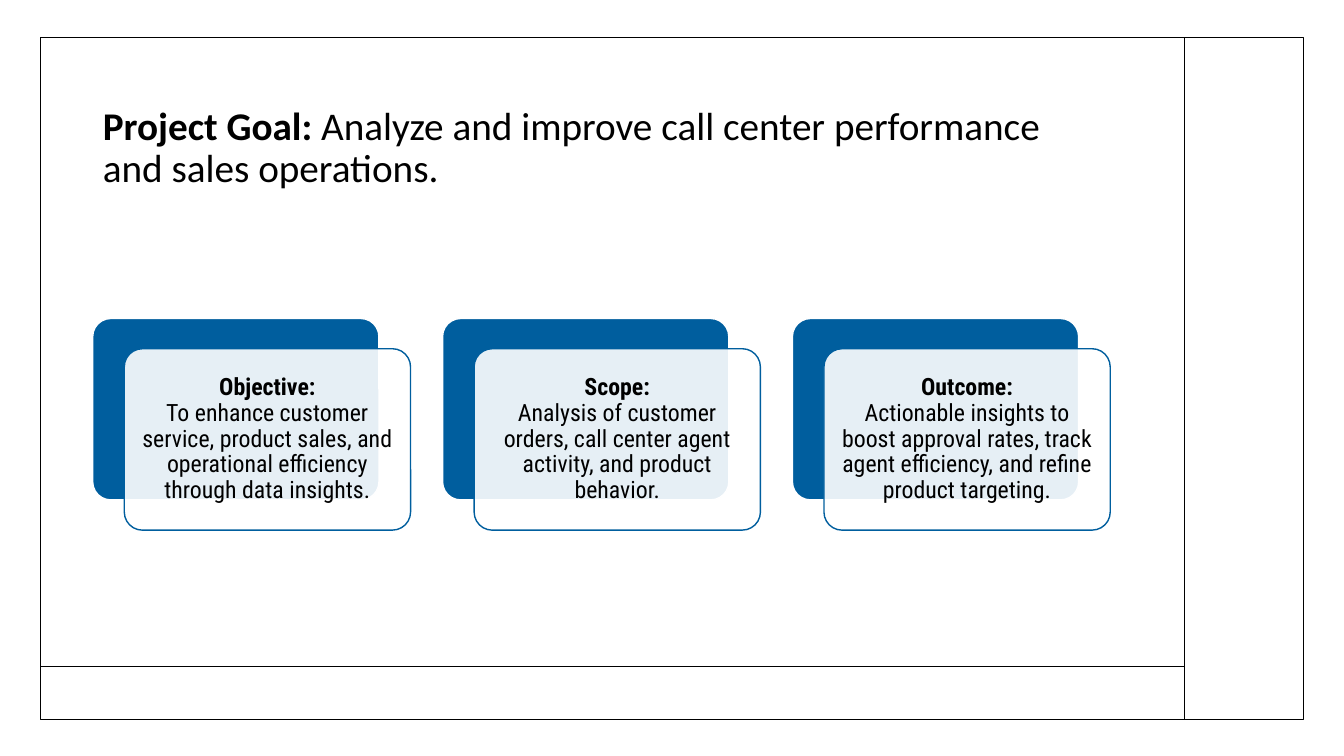
from dataclasses import dataclass

from lxml.etree import SubElement
from pptx import Presentation
from pptx.dml.color import RGBColor
from pptx.enum.shapes import MSO_CONNECTOR, MSO_SHAPE
from pptx.enum.text import MSO_ANCHOR, MSO_AUTO_SIZE, PP_ALIGN
from pptx.oxml.ns import qn
from pptx.shapes.autoshape import Shape
from pptx.slide import Slide
from pptx.text.text import TextFrame
from pptx.util import Inches, Pt

COLORS = {"ink": "000000", "blue": "005E9E", "white": "FFFFFF"}
SLIDE_WIDTH, SLIDE_HEIGHT = Inches(13.33), Inches(7.5)


@dataclass(frozen=True)
class Area:
    """A rectangle in percent of the slide's width and height."""
    left: float
    top: float
    width: float
    height: float

    def shifted(self, right: float, down: float = 0) -> "Area":
        return Area(self.left + right, self.top + down, self.width, self.height)

    def lengths(self) -> tuple[int, int, int, int]:
        return (across(self.left), down(self.top),
                across(self.width), down(self.height))


@dataclass(frozen=True)
class Card:
    heading: str
    body: str


CARDS = [
    Card("Objective:", "To enhance customer service, product sales, and "
         "operational efficiency through data insights."),
    Card("Scope:", "Analysis of customer orders, call center agent activity, "
         "and product behavior."),
    Card("Outcome:", "Actionable insights to boost approval rates, track agent "
         "efficiency, and refine product targeting."),
]

FRAME = Area(3, 4.93, 94, 90.27)
TITLE = Area(6.9, 11.87, 75.7, 15.6)
FIRST_CARD = Area(6.9, 42.13, 21.3, 24)
CARD_PITCH = 26.03
FRONT_RIGHT, FRONT_DOWN = 2.35, 4
SIDEBAR_LEFT, FOOTER_TOP = 88.15, 88.13


def across(percent: float) -> int:
    return round(SLIDE_WIDTH * percent / 100)


def down(percent: float) -> int:
    return round(SLIDE_HEIGHT * percent / 100)


def color(name: str) -> RGBColor:
    return RGBColor.from_string(COLORS[name])


def add_box(page: Slide, area: Area, kind: MSO_SHAPE, line: str,
            fill: str | None = None, opacity: int = 100) -> Shape:
    box = page.shapes.add_shape(kind, *area.lengths())
    box.shadow.inherit = False
    box.line.color.rgb = color(line)
    box.line.width = Pt(1)
    if kind == MSO_SHAPE.ROUNDED_RECTANGLE:
        box.adjustments[0] = 0.1
    if fill is None:
        box.fill.background()
        return box
    box.fill.solid()
    box.fill.fore_color.rgb = color(fill)
    if opacity < 100:
        tint = box.fill._xPr.find(qn("a:solidFill"))[0]
        SubElement(tint, qn("a:alpha"), val=str(opacity * 1000))
    return box


def add_rule(page: Slide, left: float, top: float,
             right: float, bottom: float) -> None:
    rule = page.shapes.add_connector(
        MSO_CONNECTOR.STRAIGHT,
        across(left), down(top), across(right), down(bottom))
    rule.line.color.rgb = color("ink")
    rule.line.width = Pt(1)
    SubElement(rule._element.spPr, qn("a:effectLst"))


def write(frame: TextFrame, lead: str, rest: str, *, font: str, size: float,
          align: PP_ALIGN, inset: float, break_after_lead: bool = False) -> None:
    """Write a bold lead followed by regular text in one paragraph."""
    frame.word_wrap = True
    frame.auto_size = MSO_AUTO_SIZE.NONE
    frame.vertical_anchor = MSO_ANCHOR.MIDDLE
    frame.margin_left = frame.margin_right = Inches(inset)
    frame.margin_top = frame.margin_bottom = Inches(min(inset, 0.07))
    para = frame.paragraphs[0]
    para.alignment = align
    para.line_spacing = 0.9
    for text, bold in ((lead, True), (rest, False)):
        span = para.add_run()
        span.text = text
        span.font.name = font
        span.font.size = Pt(size)
        span.font.bold = bold
        span.font.color.rgb = color("ink")
        if bold and break_after_lead:
            para.add_line_break()


def add_card(page: Slide, card: Card, area: Area) -> None:
    rounded = MSO_SHAPE.ROUNDED_RECTANGLE
    add_box(page, area, rounded, line="white", fill="blue")
    front = add_box(page, area.shifted(FRONT_RIGHT, FRONT_DOWN), rounded,
                    line="blue", fill="white", opacity=90)
    write(front.text_frame, card.heading, card.body, font="Roboto Condensed",
          size=17, align=PP_ALIGN.CENTER, inset=0.07, break_after_lead=True)


def main() -> None:
    deck = Presentation()
    deck.slide_width, deck.slide_height = SLIDE_WIDTH, SLIDE_HEIGHT
    page = deck.slides.add_slide(deck.slide_layouts[5])

    # Title
    title = page.shapes.title
    title.left, title.top, title.width, title.height = TITLE.lengths()
    write(title.text_frame, "Project Goal:",
          " Analyze and improve call center performance and sales operations.",
          font="Calibri", size=28, align=PP_ALIGN.LEFT, inset=0.1)

    # Frame with its footer and sidebar rules
    add_box(page, FRAME, MSO_SHAPE.RECTANGLE, line="ink")
    add_rule(page, FRAME.left, FOOTER_TOP, SIDEBAR_LEFT, FOOTER_TOP)
    add_rule(page, SIDEBAR_LEFT, FRAME.top,
             SIDEBAR_LEFT, FRAME.top + FRAME.height)

    # Cards
    for index, card in enumerate(CARDS):
        add_card(page, card, FIRST_CARD.shifted(index * CARD_PITCH))

    deck.save("out.pptx")


if __name__ == "__main__":
    main()
